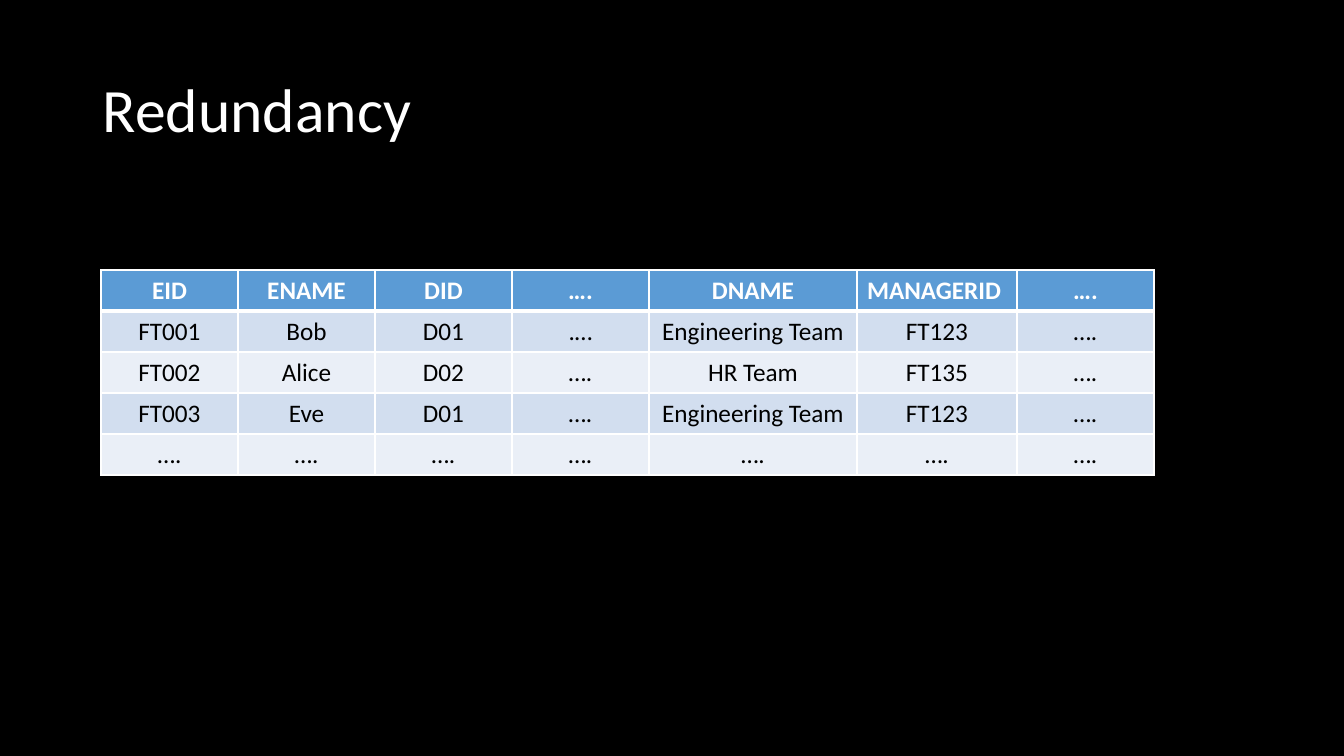
from lxml.etree import SubElement as Sub
from pptx import Presentation
from pptx.dml.color import RGBColor as RGB
from pptx.enum.text import MSO_ANCHOR as Anchor, PP_ALIGN as Align
from pptx.oxml.ns import qn
from pptx.util import Pt

PX = 914400 / 100.8
FONT = "Calibri"
BLACK = RGB(0x00, 0x00, 0x00)
WHITE = RGB(0xFF, 0xFF, 0xFF)
BLUE = RGB(0x5B, 0x9B, 0xD5)
BANDS = RGB(0xEA, 0xEF, 0xF7), RGB(0xD2, 0xDE, 0xEF)
ROW = 41

STAFF = [
    ["EID", "ENAME", "DID", "…."],
    ["FT001", "Bob", "D01", ".…"],
    ["FT002", "Alice", "D02", "…."],
    ["FT003", "Eve", "D01", "…."],
    ["….", "….", "….", "…."],
]
TEAMS = [
    ["DNAME", "MANAGERID", "…."],
    ["Engineering Team", "FT123", "…."],
    ["HR Team", "FT135", "…."],
    ["Engineering Team", "FT123", "…."],
    ["….", "….", "…."],
]


def px(*sizes):
    return [round(size * PX) for size in sizes]


def add_run(para, text, size, color, bold=False):
    run = para.add_run()
    run.text = text
    font = run.font
    font.name, font.size, font.bold = FONT, Pt(size), bold
    font.color.rgb = color


def add_title(slide, box, text):
    frame = slide.shapes.add_textbox(*px(*box)).text_frame
    frame.word_wrap = True
    frame.vertical_anchor = Anchor.MIDDLE
    para = frame.paragraphs[0]
    para.line_spacing = 0.9
    add_run(para, text, 44, WHITE)


def add_edge(cell, side, width):
    props = cell._tc.get_or_add_tcPr()
    line = Sub(props, qn(f"a:ln{side}"), w=str(Pt(width)))
    fill = Sub(line, qn("a:solidFill"))
    Sub(fill, qn("a:srgbClr"), val=str(WHITE))


def fill_cell(cell, text, row, align):
    head = row == 0
    edges = {"L": 1, "R": 1, "T": 3 if row == 1 else 1, "B": 3 if head else 1}
    for side, width in edges.items():
        add_edge(cell, side, width)
    cell.fill.solid()
    cell.fill.fore_color.rgb = BLUE if head else BANDS[row % 2]
    para = cell.text_frame.paragraphs[0]
    para.alignment = align
    add_run(para, text, 18, WHITE if head else BLACK, head)


def add_grid(slide, left, top, widths, rows):
    box = px(left, top, sum(widths), ROW * len(rows))
    table = slide.shapes.add_table(len(rows), len(widths), *box).table
    table.first_row = table.horz_banding = False
    for col, width in zip(table.columns, px(*widths)):
        col.width = width
    for r, texts in enumerate(rows):
        table.rows[r].height = px(ROW)[0]
        for c, text in enumerate(texts):
            align = Align.LEFT if text == "MANAGERID" else Align.CENTER
            fill_cell(table.cell(r, c), text, r, align)


def main():
    deck = Presentation()
    deck.slide_width, deck.slide_height = px(1344, 756)
    slide = deck.slides.add_slide(deck.slide_layouts[6])
    back = slide.background.fill
    back.solid()
    back.fore_color.rgb = BLACK
    add_title(slide, (93, 40, 1159, 146), "Redundancy")
    left, top = 101, 270
    widths = [137] * 4
    add_grid(slide, left, top, widths, STAFF)
    add_grid(slide, left + sum(widths), top, [208, 160, 137], TEAMS)
    deck.save("out.pptx")


if __name__ == "__main__":
    main()
